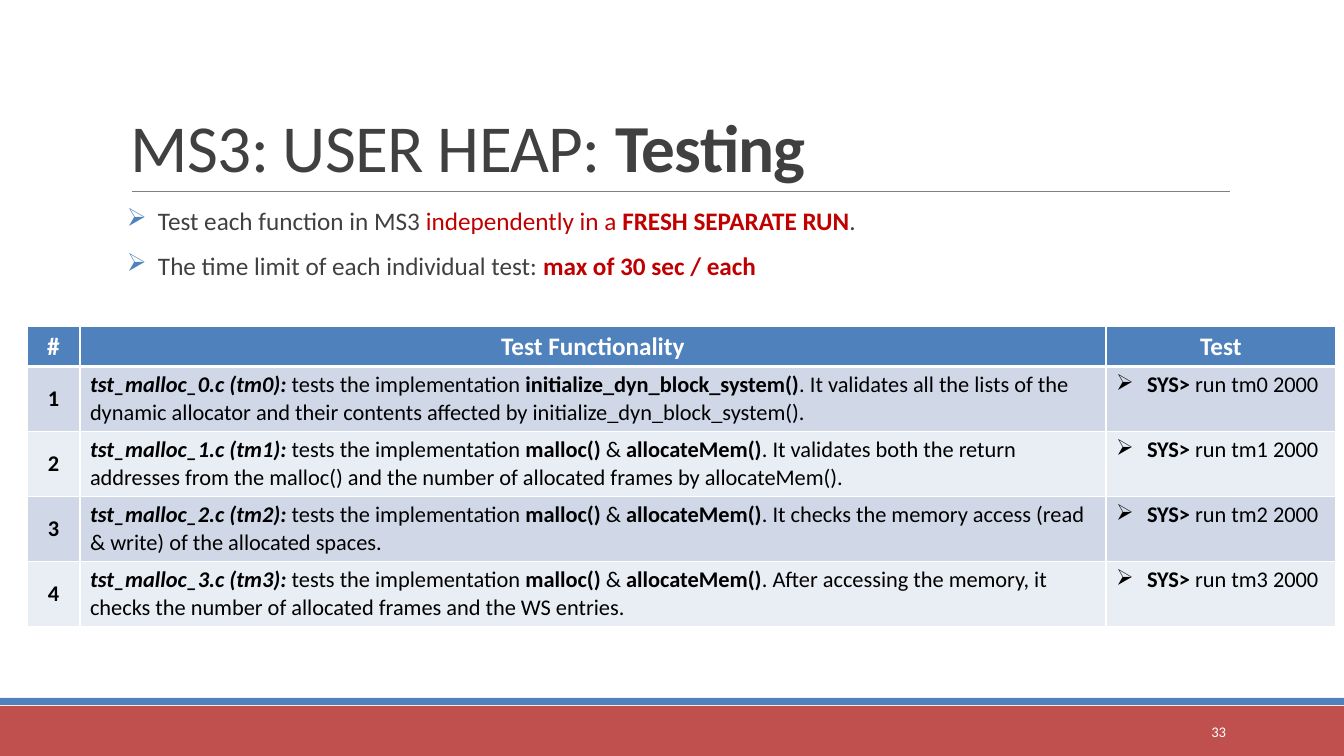
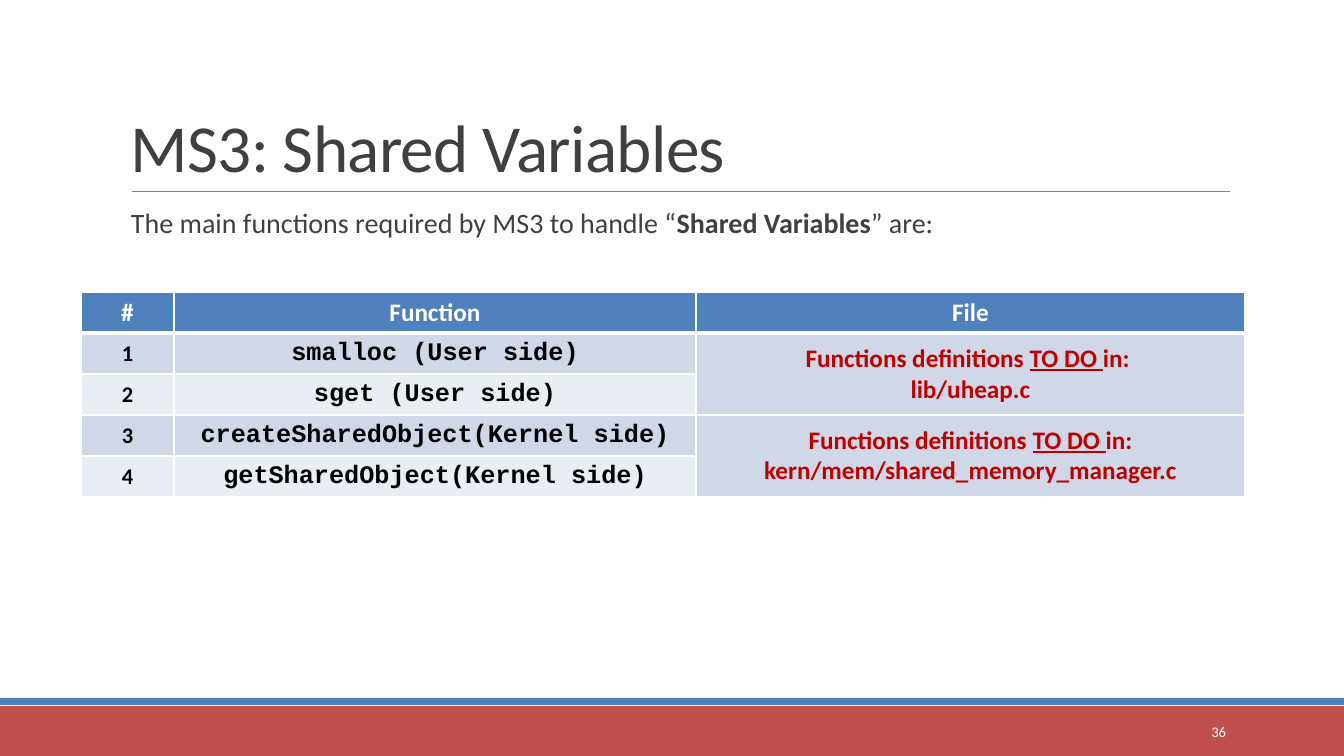
from dataclasses import dataclass
from typing import Any, NamedTuple, Optional

import lxml.etree
import pptx
import pptx.dml.color
import pptx.enum.shapes
import pptx.enum.text
import pptx.oxml.ns
import pptx.util

SCALE = 914400 / 100.8
COLORS = {
    "blue": "4F81BD", "brick": "C0504D", "gray": "808080", "ink": "404040",
    "red": "C00000", "black": "000000", "white": "FFFFFF",
    "odd": "D0D8E8", "even": "E9EDF4",
}
ALIGN = pptx.enum.text.PP_ALIGN
ANCHOR = pptx.enum.text.MSO_ANCHOR
qn = pptx.oxml.ns.qn


class Run(NamedTuple):
    text: str
    bold: Optional[bool] = None
    italic: bool = False
    under: bool = False
    color: Optional[str] = None


Line = tuple[Run, ...]


@dataclass
class Cell:
    lines: list[Line]
    size: int = 16
    font: str = "Calibri"
    color: str = "black"
    bold: bool = False
    align: Any = ALIGN.CENTER
    anchor: Any = ANCHOR.MIDDLE
    bullet: str = ""
    span: int = 1


@dataclass
class Grid:
    left: int
    top: int
    cols: list[int]
    rows: list[int]
    heads: list[str]
    body: list[list[Cell]]


def px(count: int) -> pptx.util.Emu:
    return pptx.util.Emu(round(count * SCALE))


def rgb(name: str) -> pptx.dml.color.RGBColor:
    return pptx.dml.color.RGBColor.from_string(COLORS[name])


def add(parent: Any, tag: str, **attrs: str) -> Any:
    return lxml.etree.SubElement(parent, qn(tag), attrs)


def tint(parent: Any, name: str) -> None:
    add(add(parent, "a:solidFill"), "a:srgbClr", val=COLORS[name])


def write(frame: Any, lines: list[Line], size: float = 18, font: str = "Calibri",
          color: str = "ink", bold: bool = False, align: Any = ALIGN.LEFT,
          bullet: str = "", mark: str = "", indent: int = 0, space: float = 1,
          before: float = 0, after: float = 0, track: int = 0) -> None:
    """Fill a frame with lines of runs; a run may override the shared format."""
    for index, line in enumerate(lines):
        para = frame.paragraphs[0] if index == 0 else frame.add_paragraph()
        para.alignment = align
        para.line_spacing = space
        para.space_before = pptx.util.Pt(before)
        para.space_after = pptx.util.Pt(after)
        props = para._p.get_or_add_pPr()
        props.set("marL", str(px(indent)))
        props.set("indent", str(-px(indent) if bullet else 0))
        if bullet:
            if mark:
                add(add(props, "a:buClr"), "a:srgbClr", val=COLORS[mark])
            add(props, "a:buChar", char=bullet)
        for item in line:
            run = para.add_run()
            run.text = item.text
            run.font.name = font
            run.font.size = pptx.util.Pt(size)
            run.font.bold = bold if item.bold is None else item.bold
            run.font.italic = item.italic
            run.font.underline = item.under
            run.font.color.rgb = rgb(item.color or color)
            if track:
                run._r.get_or_add_rPr().set("spc", str(track))


def box(slide: Any, left: int, top: int, width: int, height: int,
        lines: list[Line], anchor: Any = ANCHOR.TOP, inset: int = 10,
        **style: Any) -> None:
    frame = slide.shapes.add_textbox(px(left), px(top), px(width), px(height)).text_frame
    frame.word_wrap = True
    frame.vertical_anchor = anchor
    frame.margin_left = frame.margin_right = px(inset)
    write(frame, lines, **style)


def band(slide: Any, top: int, height: int, color: str) -> None:
    shape = slide.shapes.add_shape(pptx.enum.shapes.MSO_SHAPE.RECTANGLE,
                                   0, px(top), px(1344), px(height))
    shape.shadow.inherit = False
    shape.fill.solid()
    shape.fill.fore_color.rgb = rgb(color)
    shape.line.fill.background()


def start(deck: Any, title: Line, number: int) -> Any:
    """Add a slide with its bands, title, rule and page number."""
    slide = deck.slides.add_slide(deck.slide_layouts[6])
    band(slide, 706, 50, "brick")
    band(slide, 698, 7, "blue")
    rule = slide.shapes.add_connector(pptx.enum.shapes.MSO_CONNECTOR.STRAIGHT,
                                      px(132), px(191), px(1230), px(191))
    rule.line.color.rgb = rgb("gray")
    rule.line.width = pptx.util.Pt(0.5)
    add(rule._element.spPr, "a:effectLst")
    box(slide, 121, 31, 1109, 160, [title], anchor=ANCHOR.BOTTOM,
        size=48, space=0.85, track=-50)
    box(slide, 1092, 712, 144, 40, [(Run(str(number)),)], anchor=ANCHOR.MIDDLE,
        size=10.5, color="white", align=ALIGN.RIGHT)
    return slide


def edge(cell: Any, top: int, bottom: int) -> None:
    """Give a cell white borders, 1 pt at the sides."""
    props = cell._tc.get_or_add_tcPr()
    widths = {"a:lnL": 1, "a:lnR": 1, "a:lnT": top, "a:lnB": bottom}
    for index, (tag, width) in enumerate(widths.items()):
        line = add(props, tag, w=str(pptx.util.Pt(width)))
        tint(line, "white")
        props.insert(index, line)


def draw(slide: Any, grid: Grid) -> None:
    table = slide.shapes.add_table(
        len(grid.rows), len(grid.cols), px(grid.left), px(grid.top),
        px(sum(grid.cols)), px(sum(grid.rows))).table
    for col, width in zip(table.columns, grid.cols):
        col.width = px(width)
    for row, height in zip(table.rows, grid.rows):
        row.height = px(height)
    heads = [Cell([(Run(text),)], size=18, color="white", bold=True, anchor=ANCHOR.TOP)
             for text in grid.heads]
    for y in range(len(grid.rows)):
        fill = "blue" if y == 0 else "odd" if y % 2 else "even"
        for x in range(len(grid.cols)):
            cell = table.cell(y, x)
            cell.fill.solid()
            cell.fill.fore_color.rgb = rgb(fill)
            edge(cell, 3 if y == 1 else 1, 3 if y == 0 else 1)
    for y, cells in enumerate([heads] + grid.body):
        for x, item in enumerate(cells):
            cell = table.cell(y, x)
            if item.span > 1:
                cell.merge(table.cell(y + item.span - 1, x))
            cell.vertical_anchor = item.anchor
            write(cell.text_frame, item.lines, size=item.size, font=item.font,
                  color=item.color, bold=item.bold, align=item.align,
                  bullet=item.bullet, indent=31 if item.bullet else 0)


def count(number: int) -> Cell:
    return Cell([(Run(str(number)),)], bold=True)


def test(number: int, target: Line, note: str) -> list[Cell]:
    """Make one row of the test table."""
    name = Run(f"tst_malloc_{number}.c (tm{number}): ", bold=True, italic=True)
    about = (name, Run("tests the implementation "), *target, Run(note))
    order = (Run("SYS>", bold=True), Run(f" run tm{number} 2000"))
    return [count(number + 1), Cell([about], align=ALIGN.LEFT),
            Cell([order], align=ALIGN.LEFT, anchor=ANCHOR.TOP, bullet="➢")]


def code(text: str) -> Cell:
    return Cell([(Run(text),)], size=18, font="Courier New", bold=True)


def place(*lines: str) -> Cell:
    """Make a two-row cell that says which file to edit."""
    first = (Run("Functions definitions "), Run("TO DO ", under=True), Run(lines[0]))
    rest = [(Run(text),) for text in lines[1:]]
    return Cell([first, *rest], size=18, color="red", bold=True, span=2)


def testing(deck: Any) -> None:
    slide = start(deck, (Run("MS3: USER HEAP: "), Run("Testing", bold=True)), 33)
    box(slide, 127, 200, 1109, 103, [
        (Run("Test each function in MS3 "), Run("independently in a ", color="red"),
         Run("FRESH SEPARATE RUN", bold=True, color="red"), Run(".")),
        (Run("The time limit of each individual test: "),
         Run("max of 30 sec / each", bold=True, color="red")),
    ], inset=0, bullet="➢", mark="blue", indent=31, before=9, after=2)
    system = (Run("initialize_dyn_block_system()", bold=True),)
    alloc = (Run("malloc() ", bold=True), Run("& "), Run("allocateMem()", bold=True))
    tests = [
        (system, ". It validates all the lists of the dynamic allocator and their "
                 "contents affected by initialize_dyn_block_system()."),
        (alloc, ". It validates both the return addresses from the malloc() and "
                "the number of allocated frames by allocateMem()."),
        (alloc, ". It checks the memory access (read & write) of the allocated spaces."),
        (alloc, ". After accessing the memory, it checks the number of allocated "
                "frames and the WS entries."),
    ]
    draw(slide, Grid(27, 326, [53, 1026, 230], [40] + [65] * 4,
                     ["#", "Test Functionality", "Test"],
                     [test(i, *item) for i, item in enumerate(tests)]))


def shared(deck: Any) -> None:
    slide = start(deck, (Run("MS3: Shared Variables"),), 36)
    box(slide, 121, 204, 1109, 443, [
        (Run("The main functions required by MS3 to handle “"),
         Run("Shared Variables", bold=True), Run("” are:")),
    ], inset=0, size=20, indent=10, space=0.9, before=12, after=2)
    names = ["smalloc (User side)", "sget (User side)",
             "createSharedObject(Kernel side)", "getSharedObject(Kernel side)"]
    body = [[count(i), code(name)] for i, name in enumerate(names, 1)]
    body[0].append(place("in: ", "lib/uheap.c"))
    body[2].append(place("in: kern/mem/shared_memory_manager.c"))
    draw(slide, Grid(81, 292, [93, 522, 549], [41] * 5, ["#", "Function", "File"], body))


def main() -> None:
    deck = pptx.Presentation()
    deck.slide_width, deck.slide_height = px(1344), px(756)
    testing(deck)
    shared(deck)
    deck.save("out.pptx")


if __name__ == "__main__":
    main()
